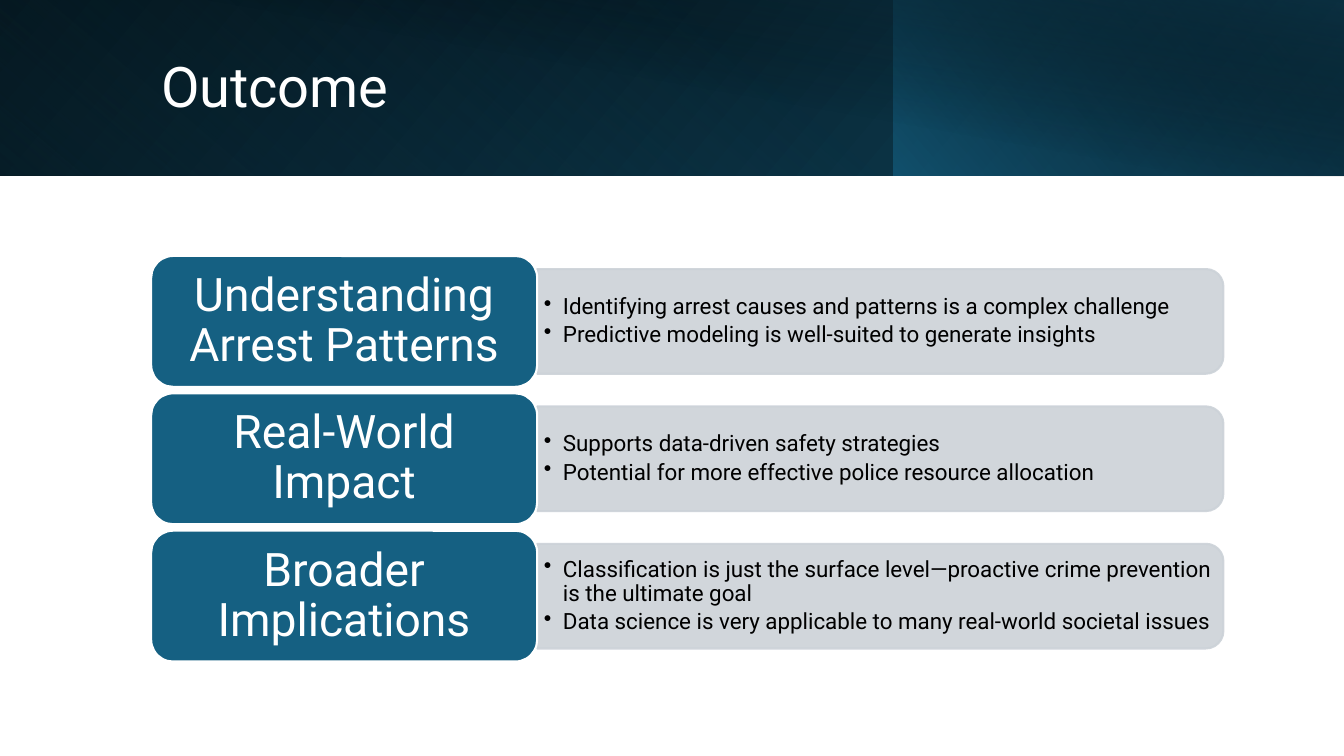
from lxml import etree
from pptx import Presentation
from pptx.dml.color import RGBColor
from pptx.enum.shapes import MSO_SHAPE as Preset
from pptx.enum.text import MSO_ANCHOR as Anchor, PP_ALIGN as Align
from pptx.oxml.ns import qn
from pptx.util import Cm, Pt

FONT = "Roboto"
BLACK = RGBColor(0x00, 0x00, 0x00)
WHITE = RGBColor(0xFF, 0xFF, 0xFF)
TEAL = RGBColor(0x15, 0x60, 0x82)
MID_TEAL = RGBColor(0x10, 0x48, 0x62)
DEEP_TEAL = RGBColor(0x0B, 0x30, 0x41)
GREY = RGBColor(0xCC, 0xD2, 0xD8)

# Heading and bullets of each row
OUTCOMES = [
    ("Understanding Arrest Patterns",
     ["Identifying arrest causes and patterns is a complex challenge",
      "Predictive modeling is well-suited to generate insights"]),
    ("Real-World Impact",
     ["Supports data-driven safety strategies",
      "Potential for more effective police resource allocation"]),
    ("Broader Implications",
     ["Classification is just the surface level—proactive crime prevention "
      "is the ultimate goal",
      "Data science is very applicable to many real-world societal issues"]),
]

# Banner layers: left, width, height (cm), clockwise angle,
# then two stops of position, colour and opacity in percent
BANNER_LAYERS = [
    (0, 33.87, 4.42, 40, [(0, BLACK, 100), (100, MID_TEAL, 100)]),
    (0, 22.55, 4.42, 130, [(20, TEAL, 0), (100, DEEP_TEAL, 55)]),
    (22.53, 11.34, 4.42, 320, [(0, TEAL, 66), (100, BLACK, 30)]),
    (1.27, 32.6, 4.44, 280, [(50, BLACK, 0), (99, DEEP_TEAL, 52)]),
]


def set_opacity(color_element, percent):
    alpha = etree.SubElement(color_element, qn("a:alpha"))
    alpha.set("val", str(percent * 1000))


def add_block(page, preset, left, top, width, height):
    block = page.shapes.add_shape(
        preset, Cm(left), Cm(top), Cm(width), Cm(height))
    block.shadow.inherit = False
    return block


def set_frame(shape, side, edge):
    frame = shape.text_frame
    frame.word_wrap = True
    frame.vertical_anchor = Anchor.MIDDLE
    frame.margin_left = frame.margin_right = Cm(side)
    frame.margin_top = frame.margin_bottom = Cm(edge)
    return frame


def write(para, text, size, color, align=Align.LEFT):
    para.alignment = align
    para.line_spacing = 0.9
    span = para.add_run()
    span.text = text
    span.font.name = FONT
    span.font.size = Pt(size)
    span.font.color.rgb = color


def add_bullet(para):
    properties = para._p.get_or_add_pPr()
    properties.set("marL", str(Cm(0.48)))
    properties.set("indent", str(-Cm(0.48)))
    etree.SubElement(properties, qn("a:buChar")).set("char", "•")


def add_banner(page):
    for left, width, height, angle, stops in BANNER_LAYERS:
        layer = add_block(page, Preset.RECTANGLE, left, 0, width, height)
        layer.line.fill.background()
        layer.fill.gradient()
        layer.fill.gradient_angle = 360 - angle
        for stop, (position, color, _) in zip(layer.fill.gradient_stops, stops):
            stop.position = position / 100
            stop.color.rgb = color
        colors = layer._element.spPr.findall(".//" + qn("a:srgbClr"))
        for element, (_, _, opacity) in zip(colors, stops):
            set_opacity(element, opacity)


def add_title(page, text, left, top, width, height):
    box = page.shapes.add_textbox(Cm(left), Cm(top), Cm(width), Cm(height))
    write(set_frame(box, 0.25, 0.13).paragraphs[0], text, 40, WHITE)


def add_panel(page, bullets, left, top, width, height):
    # A quarter turn puts the two rounded corners on the right
    shift = (width - height) / 2
    panel = add_block(page, Preset.ROUND_2_SAME_RECTANGLE,
                      left + shift, top - shift, height, width)
    panel.rotation = 90
    panel.fill.solid()
    panel.fill.fore_color.rgb = GREY
    panel.line.color.rgb = GREY
    panel.line.width = Pt(1.5)
    for element in panel._element.spPr.findall(".//" + qn("a:srgbClr")):
        set_opacity(element, 90)

    # Upright text over the panel
    box = page.shapes.add_textbox(
        Cm(left), Cm(top + 0.13), Cm(width - 0.13), Cm(height - 0.26))
    frame = set_frame(box, 0.17, 0.08)
    for index, text in enumerate(bullets):
        para = frame.add_paragraph() if index else frame.paragraphs[0]
        write(para, text, 16, BLACK)
        para.space_after = Pt(2.8)
        add_bullet(para)


def add_heading(page, text, left, top, width, height):
    heading = add_block(page, Preset.ROUNDED_RECTANGLE, left, top, width, height)
    heading.fill.solid()
    heading.fill.fore_color.rgb = TEAL
    heading.line.color.rgb = WHITE
    heading.line.width = Pt(1.5)
    frame = set_frame(heading, 0.35, 0.18)
    write(frame.paragraphs[0], text, 33, WHITE, Align.CENTER)


def add_outcomes(page, left, top, width, height):
    row_height = height / (len(OUTCOMES) + 0.05 * (len(OUTCOMES) - 1))
    heading_width = 0.36 * width
    panel_height = 0.8 * row_height
    for index, (heading, bullets) in enumerate(OUTCOMES):
        row_top = top + index * 1.05 * row_height
        add_panel(page, bullets, left + heading_width,
                  row_top + 0.1 * row_height,
                  width - heading_width, panel_height)
        add_heading(page, heading, left, row_top, heading_width, row_height)


def main():
    deck = Presentation()
    deck.slide_width, deck.slide_height = Cm(33.87), Cm(19.05)
    page = deck.slides.add_slide(deck.slide_layouts[6])
    add_banner(page)
    add_title(page, "Outcome", 3.81, 0.81, 27.48, 2.87)
    add_outcomes(page, 3.81, 6.45, 27.02, 10.22)
    deck.save("out.pptx")


if __name__ == "__main__":
    main()
